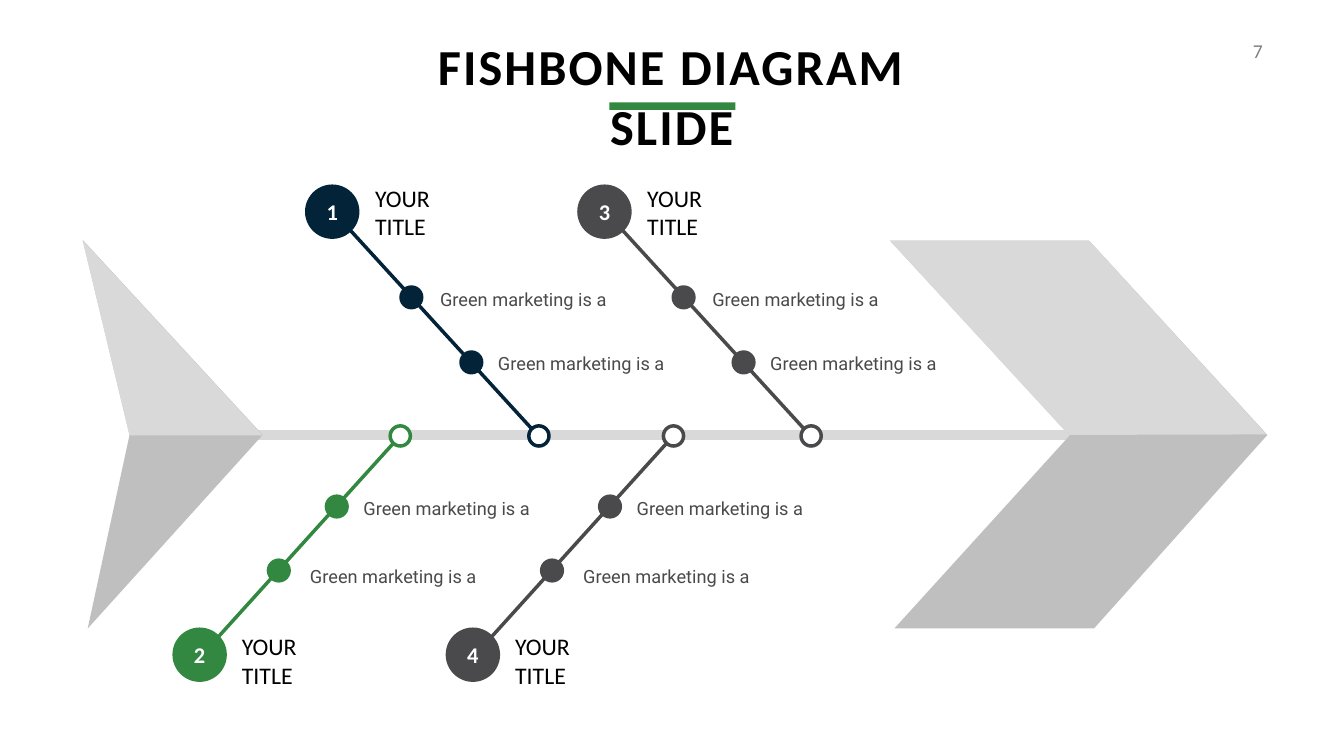
from typing import NamedTuple

from lxml.etree import SubElement
from pptx import Presentation
from pptx.dml.color import RGBColor
from pptx.enum.shapes import MSO_CONNECTOR, MSO_SHAPE
from pptx.enum.text import MSO_ANCHOR, MSO_AUTO_SIZE, PP_ALIGN
from pptx.oxml.ns import qn
from pptx.util import Emu, Pt

EMU_PER_PX = 9144  # 100 px to the inch
WHITE = RGBColor(0xFF, 0xFF, 0xFF)
BLACK = RGBColor(0x00, 0x00, 0x00)
NAVY = RGBColor(0x02, 0x23, 0x38)
GREEN = RGBColor(0x32, 0x88, 0x40)
CHARCOAL = RGBColor(0x4A, 0x4A, 0x4C)
GRAY = RGBColor(0x80, 0x80, 0x80)
LIGHT = RGBColor(0xD9, 0xD9, 0xD9)
MID = RGBColor(0xBF, 0xBF, 0xBF)

BADGE, DOT, RING = 108, 48, 40
CAUSE = "Green marketing is a"

Point = tuple[int, int]


class Layout(NamedTuple):
    """Places on the first bone of one side of the spine."""
    start: Point
    end: Point
    ring: Point
    badge: Point
    title: Point
    dots: tuple[Point, Point]
    causes: tuple[Point, Point]


class Bone(NamedTuple):
    number: str
    layout: Layout
    dx: int
    color: RGBColor


class Style(NamedTuple):
    font: str
    size: int
    color: RGBColor
    bold: bool = False
    spacing: int = 0  # hundredths of a point
    align: PP_ALIGN = PP_ALIGN.LEFT


UPPER = Layout((695, 457), (1065, 862), (1049, 845), (605, 366), (734, 387),
               ((792, 566), (911, 695)), ((863, 561), (978, 687)))
LOWER = Layout((430, 1267), (788, 871), (774, 845), (342, 1245), (470, 1277),
               ((644, 981), (529, 1108)), ((711, 976), (605, 1110)))
BONES = [
    Bone("1", UPPER, 0, NAVY),
    Bone("2", LOWER, 0, GREEN),
    Bone("3", UPPER, 540, CHARCOAL),
    Bone("4", LOWER, 542, CHARCOAL),
]
FISH_PARTS = [
    (MID, [(1774, 1247), (2170, 1247), (2514, 863), (2161, 478),
           (1766, 478), (2122, 864)]),
    (MID, [(521, 863), (164, 476), (257, 863), (174, 1247)]),
    (LIGHT, [(2512, 862), (2160, 477), (1765, 477), (2120, 863)]),
    (LIGHT, [(521, 864), (164, 477), (257, 864)]),
]

PAGE_STYLE = Style("Calibri", 28, GRAY, spacing=300, align=PP_ALIGN.RIGHT)
HEADING_STYLE = Style("Calibri", 72, BLACK, True, 300, PP_ALIGN.CENTER)
TITLE_STYLE = Style("Calibri", 34, BLACK)
CAUSE_STYLE = Style("Roboto", 26, CHARCOAL)
NUMBER_STYLE = Style("Calibri", 32, WHITE, True, align=PP_ALIGN.CENTER)


def px(n: int) -> Emu:
    return Emu(n * EMU_PER_PX)


def write(tf, text: str, style: Style):
    tf.text = text
    p = tf.paragraphs[0]
    p.alignment = style.align
    r = p.runs[0]
    r.font.name, r.font.size, r.font.bold = style.font, Pt(style.size), style.bold
    r.font.color.rgb = style.color
    if style.spacing:
        r.font._element.set("spc", str(style.spacing))
    return p


def add_text(s, at: Point, w: int, h: int, text: str, style: Style,
             anchor: MSO_ANCHOR = MSO_ANCHOR.TOP):
    tf = s.shapes.add_textbox(px(at[0]), px(at[1]), px(w), px(h)).text_frame
    tf.word_wrap = True
    tf.auto_size = MSO_AUTO_SIZE.SHAPE_TO_FIT_TEXT
    tf.vertical_anchor = anchor
    return write(tf, text, style)


def paint(sp, fill: RGBColor) -> None:
    """Give a flat fill with no outline or shadow."""
    sp.shadow.inherit = False
    sp.fill.solid()
    sp.fill.fore_color.rgb = fill
    sp.line.fill.background()


def add_shape(s, kind: MSO_SHAPE, at: Point, w: int, h: int, fill: RGBColor):
    sp = s.shapes.add_shape(kind, px(at[0]), px(at[1]), px(w), px(h))
    paint(sp, fill)
    return sp


def add_circle(s, at: Point, size: int, fill: RGBColor):
    return add_shape(s, MSO_SHAPE.OVAL, at, size, size, fill)


def add_line(s, start: Point, end: Point, color: RGBColor, width: int) -> None:
    ln = s.shapes.add_connector(MSO_CONNECTOR.STRAIGHT,
                                *(px(n) for n in (*start, *end)))
    ln.line.color.rgb = color
    ln.line.width = Pt(width)
    SubElement(ln._element.spPr, qn("a:effectLst"))


def add_polygon(s, points: list[Point], fill: RGBColor) -> None:
    builder = s.shapes.build_freeform(*points[0], scale=EMU_PER_PX)
    builder.add_line_segments(points[1:], close=True)
    paint(builder.convert_to_shape(), fill)


def add_bone(s, bone: Bone) -> None:
    def moved(at: Point) -> Point:
        return at[0] + bone.dx, at[1]

    layout = bone.layout
    add_line(s, moved(layout.start), moved(layout.end), bone.color, 5)
    ring = add_circle(s, moved(layout.ring), RING, WHITE)
    ring.line.color.rgb = bone.color
    ring.line.width = Pt(5)

    for dot, cause in zip(layout.dots, layout.causes):
        add_circle(s, moved(dot), DOT, bone.color)
        p = add_text(s, moved(cause), 372, 58, CAUSE, CAUSE_STYLE,
                     MSO_ANCHOR.MIDDLE)
        p.line_spacing = Pt(37)

    tf = add_circle(s, moved(layout.badge), BADGE, bone.color).text_frame
    tf.word_wrap = False
    tf.vertical_anchor = MSO_ANCHOR.MIDDLE
    write(tf, bone.number, NUMBER_STYLE)
    add_text(s, moved(layout.title), 229, 67, "YOUR TITLE", TITLE_STYLE,
             MSO_ANCHOR.MIDDLE)


def main() -> None:
    prs = Presentation()
    prs.slide_width, prs.slide_height = px(2666), px(1500)
    s = prs.slides.add_slide(prs.slide_layouts[6])

    add_text(s, (2431, 72), 84, 57, "7", PAGE_STYLE)
    add_line(s, (430, 863), (2134, 863), LIGHT, 13)
    for fill, points in FISH_PARTS:
        add_polygon(s, points, fill)
    for bone in BONES:
        add_bone(s, bone)
    add_text(s, (736, 64), 1193, 131, "FISHBONE DIAGRAM SLIDE", HEADING_STYLE)
    add_shape(s, MSO_SHAPE.RECTANGLE, (1209, 203), 250, 15, GREEN)

    prs.save("out.pptx")


if __name__ == "__main__":
    main()
